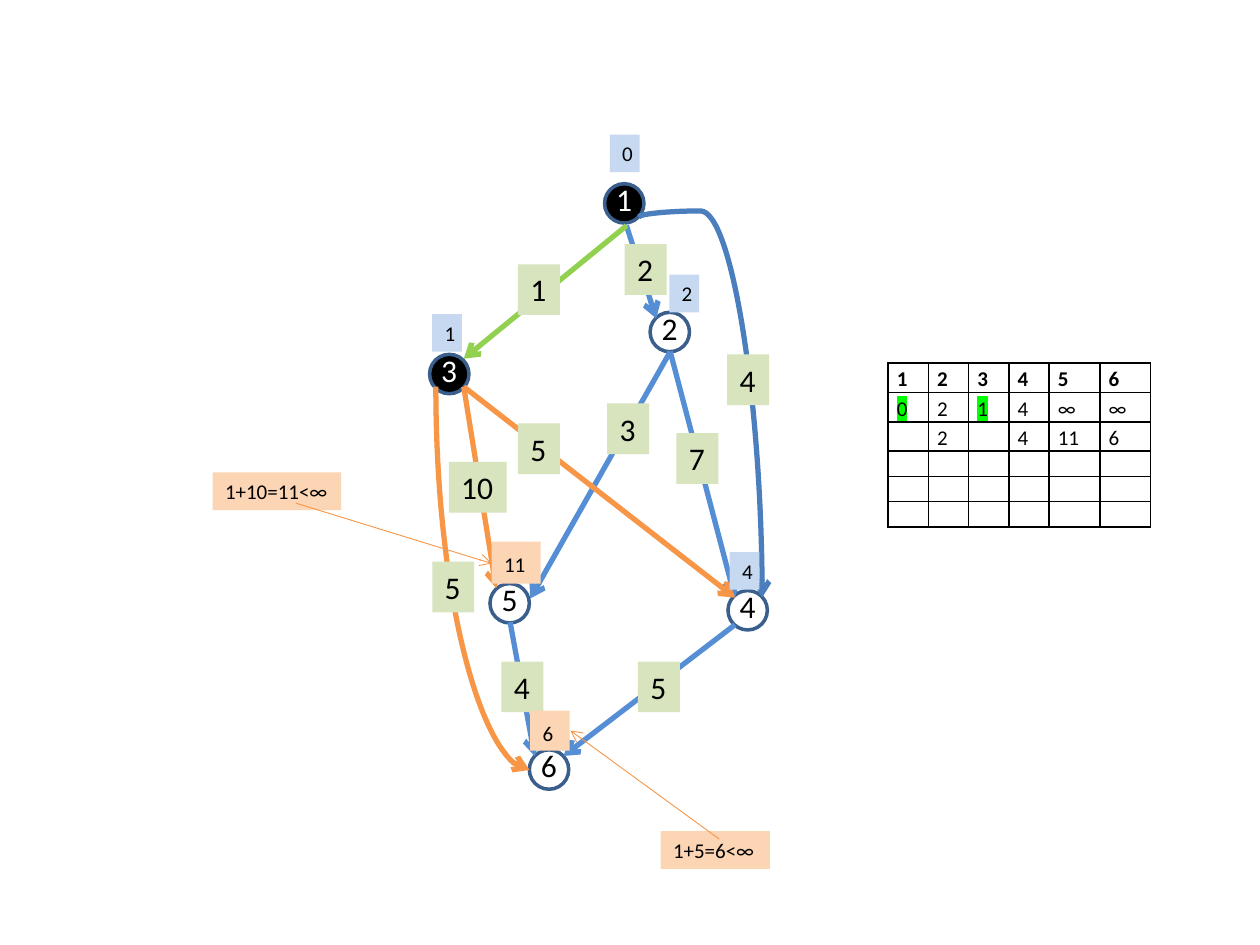
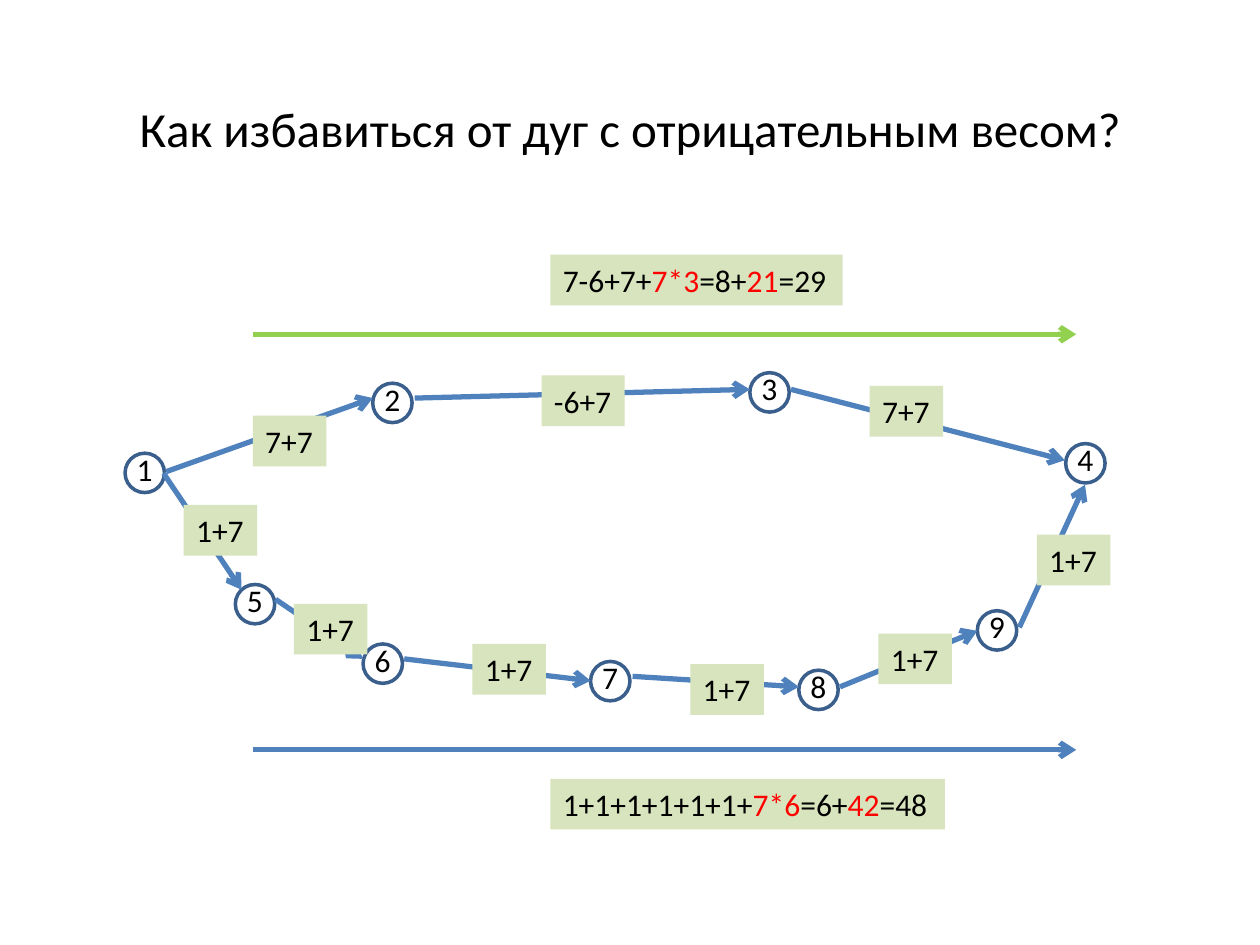
from lxml import etree
from pptx import Presentation
from pptx.dml.color import RGBColor
from pptx.enum.shapes import MSO_CONNECTOR, MSO_SHAPE
from pptx.enum.text import MSO_ANCHOR, MSO_AUTO_SIZE, PP_ALIGN
from pptx.oxml.ns import qn
from pptx.util import Pt

STRAIGHT, CURVE = MSO_CONNECTOR.STRAIGHT, MSO_CONNECTOR.CURVE
OVAL = MSO_SHAPE.OVAL
MIDDLE, CENTER = MSO_ANCHOR.MIDDLE, PP_ALIGN.CENTER
FIT_SHAPE, NO_FIT = MSO_AUTO_SIZE.SHAPE_TO_FIT_TEXT, MSO_AUTO_SIZE.NONE

BLACK = RGBColor(0x00, 0x00, 0x00)
WHITE = RGBColor(0xFF, 0xFF, 0xFF)
RED = RGBColor(0xFF, 0x00, 0x00)
NODE_LINE = RGBColor(0x3A, 0x5F, 0x8C)
BLUE = RGBColor(0x55, 0x8E, 0xD5)
CURVE_BLUE = RGBColor(0x4B, 0x7E, 0xBC)
STEEL = RGBColor(0x4F, 0x81, 0xBD)
ORANGE = RGBColor(0xF7, 0x96, 0x46)
GREEN = RGBColor(0x92, 0xD0, 0x50)
PALE_GREEN = RGBColor(0xD7, 0xE4, 0xBD)
PALE_BLUE = RGBColor(0xC6, 0xD9, 0xF1)
PALE_ORANGE = RGBColor(0xFC, 0xD5, 0xB5)
HIGHLIGHT = "00FF00"

FONT = "Calibri"
NODE = 22.5
LABEL_H = 29


def sub(parent, tag, **attrs):
    return etree.SubElement(parent, qn(tag), attrs)


class GraphDeck:
    """Holds the presentation, its style and the current slide."""

    def __init__(self):
        self.prs = Presentation()
        self.prs.slide_width, self.prs.slide_height = Pt(720), Pt(540)
        self.s = None

    def new_slide(self, layout):
        self.s = self.prs.slides.add_slide(self.prs.slide_layouts[layout])

    def run(self, p, text, size, color=BLACK, bold=False):
        r = p.add_run()
        r.text = text
        r.font.size, r.font.bold = Pt(size), bold
        r.font.color.rgb = color
        r.font.name = FONT
        return r

    def title(self, text):
        sp = self.s.shapes.title
        sp.left, sp.top, sp.width, sp.height = Pt(54), Pt(15), Pt(612), Pt(116)
        tf = sp.text_frame
        tf.auto_size, tf.vertical_anchor = NO_FIT, MIDDLE
        p = tf.paragraphs[0]
        p.alignment = CENTER
        self.run(p, text, 28)

    def box(self, runs, x, y, w, h=LABEL_H, fill=None, size=18, wrap=False):
        """Text box; runs is a list of (text, colour)."""
        sp = self.s.shapes.add_textbox(Pt(x), Pt(y), Pt(w), Pt(h))
        if fill is not None:
            sp.fill.solid()
            sp.fill.fore_color.rgb = fill
        tf = sp.text_frame
        tf.word_wrap, tf.auto_size = wrap, FIT_SHAPE
        p = tf.paragraphs[0]
        for text, color in runs:
            self.run(p, text, size, color)
        return p

    def weight(self, text, x, y, w=24):
        self.box([(text, BLACK)], x, y, w, fill=PALE_GREEN)

    def tag(self, text, x, y, w=17, h=21.5, fill=PALE_BLUE):
        return self.box([(text, BLACK)], x, y, w, h, fill, 12, True)

    def node(self, text, x, y, fill=WHITE):
        sp = self.s.shapes.add_shape(OVAL, Pt(x), Pt(y), Pt(NODE), Pt(NODE))
        sp.shadow.inherit = False
        sp.fill.solid()
        sp.fill.fore_color.rgb = fill
        sp.line.color.rgb, sp.line.width = NODE_LINE, Pt(2)
        color = WHITE if fill == BLACK else BLACK
        self.box([(text, color)], x - 0.5, y - 5.5, 24)

    def arrow(self, x1, y1, x2, y2, color, width=3, kind=STRAIGHT):
        cxn = self.s.shapes.add_connector(kind, Pt(x1), Pt(y1), Pt(x2), Pt(y2))
        cxn.line.color.rgb, cxn.line.width = color, Pt(width)
        spPr = cxn._element.spPr
        sub(spPr.find(qn("a:ln")), "a:tailEnd", type="arrow")
        sub(spPr, "a:effectLst")
        return spPr

    def curve(self, x1, y1, x2, y2, color, preset, adj=None):
        """Curve that leaves and arrives turned by a quarter."""
        cx, cy = (x1 + x2) / 2, (y1 + y2) / 2
        half_w, half_h = (y2 - y1) / 2, (x2 - x1) / 2
        spPr = self.arrow(cx - half_w, cy - half_h, cx + half_w, cy + half_h,
                          color, kind=CURVE)
        xfrm = spPr.find(qn("a:xfrm"))
        xfrm.set("rot", "16200000")
        xfrm.set("flipH", "1")
        geom = spPr.find(qn("a:prstGeom"))
        geom.set("prst", preset)
        if adj is not None:
            sub(geom.find(qn("a:avLst")), "a:gd", name="adj1", fmla=f"val {adj}")

    def borders(self, cell):
        tcPr = cell._tc.get_or_add_tcPr()
        for i, side in enumerate(("a:lnL", "a:lnR", "a:lnT", "a:lnB")):
            ln = sub(tcPr, side, w=str(Pt(1)))
            sub(sub(ln, "a:solidFill"), "a:srgbClr", val=str(BLACK))
            tcPr.insert(i, ln)

    def table(self, rows, x, y, widths, heights, marked):
        frame = self.s.shapes.add_table(len(rows), len(widths), Pt(x), Pt(y),
                                        Pt(sum(widths)), Pt(sum(heights)))
        tbl = frame.table
        tbl.first_row = tbl.horz_banding = False
        for column, w in zip(tbl.columns, widths):
            column.width = Pt(w)
        for i, (row, h) in enumerate(zip(rows, heights)):
            tbl.rows[i].height = Pt(h)
            for j, text in enumerate(row):
                cell = tbl.cell(i, j)
                cell.fill.background()
                cell.margin_left = cell.margin_right = Pt(5)
                cell.margin_top = cell.margin_bottom = 0
                self.borders(cell)
                p = cell.text_frame.paragraphs[0]
                if not text:
                    sub(p._p, "a:endParaRPr", sz="1200")
                    continue
                p.line_spacing, p.space_after = 1.15, Pt(10)
                r = self.run(p, text, 12, bold=i == 0)
                if (i, j) in marked:
                    rPr = r._r.rPr
                    mark = sub(rPr, "a:highlight")
                    sub(mark, "a:srgbClr", val=HIGHLIGHT)
                    rPr.find(qn("a:solidFill")).addnext(mark)


def shortest_paths(deck):
    deck.new_slide(6)

    # Nodes
    for text, x, y, fill in [
            ("1", 345.5, 105, BLACK), ("2", 371.5, 178.5, WHITE),
            ("3", 245.5, 202.5, BLACK), ("4", 416, 337.5, WHITE),
            ("5", 280, 333.5, WHITE), ("6", 302.5, 428.5, WHITE)]:
        deck.node(text, x, y, fill)

    # Arcs
    for *ends, color in [
            (420, 357, 322, 432, BLUE), (383, 201, 420, 341.5, BLUE),
            (383, 201, 303, 342, BLUE), (358, 129, 375, 182, BLUE),
            (265, 221, 283.5, 336, ORANGE), (358, 129, 265, 205, GREEN),
            (291.5, 355.5, 305.5, 432, BLUE), (265, 221, 420, 341.5, ORANGE)]:
        deck.arrow(*ends, color)
    deck.curve(365, 124, 435.5, 341.5, CURVE_BLUE, "curvedConnector3", -1600)
    deck.curve(249, 221, 302.5, 440, ORANGE, "curvedConnector2")

    # Arc weights
    for text, x, y in [
            ("2", 357, 139.5), ("7", 386.5, 247.5), ("1", 296, 151),
            ("4", 415.5, 202.5), ("5", 247, 321), ("5", 296, 242),
            ("3", 347, 230.5), ("5", 364.5, 378), ("4", 286.5, 378)]:
        deck.weight(text, x, y)
    deck.weight("10", 256.5, 264, 33)

    # Distance table
    deck.table([["1", "2", "3", "4", "5", "6"],
                ["0", "2", "1", "4", "∞", "∞"],
                ["", "2", "", "4", "11", "6"]] + [[""] * 6] * 3,
               507.5, 207.5, [23] * 4 + [29] * 2, [16.8] * 3 + [14.4] * 3,
               {(1, 0), (1, 2)})

    # Known distances
    for text, x, y in [("1", 247, 179.5), ("2", 382.5, 157),
                       ("4", 417, 315.5), ("0", 348.5, 77)]:
        deck.tag(text, x, y)

    # Improved distances and how they arise
    for text, *place in [("11", 281, 309.5, 28, 24), ("6", 303, 406, 22.5, 23)]:
        p = deck.tag(text, *place, fill=PALE_ORANGE)
        p.line_spacing, p.space_after = 1.15, Pt(10)
    for text, place, ends in [
            ("1+10=11<∞", (121.5, 270, 73.5), (169, 287.5, 281, 322)),
            ("1+5=6<∞", (377.5, 475, 62.5), (411, 479.5, 326, 417.5))]:
        deck.tag(text, *place, fill=PALE_ORANGE)
        deck.arrow(*ends, ORANGE, 0.5)


def negative_weights(deck):
    deck.new_slide(5)
    deck.title("Как избавиться от дуг с отрицательным весом?")

    # Nodes
    places = [(71.5, 259), (213, 219), (428.5, 213), (609, 253.5), (134.5, 334),
              (207.5, 368), (337.5, 378), (456.5, 383), (558.5, 349)]
    for number, (x, y) in enumerate(places, 1):
        deck.node(str(number), x, y)

    # Arcs: upper path, then lower path
    for ends in [
            (95, 269.5, 213, 227.5), (237, 227.5, 428.5, 222.5),
            (452, 222.5, 608.5, 263),
            (93.5, 270.5, 138, 337), (157.5, 342.5, 207.5, 376.5),
            (231, 376.5, 337.5, 389), (361.5, 386.5, 456.5, 392.5),
            (480, 392.5, 558.5, 360.5), (582.5, 358.5, 620, 277)]:
        deck.arrow(*ends, STEEL)

    # Arc weights
    deck.weight("-6+7", 309.5, 214.5, 47.5)
    for x, y in [(497, 220.5), (144.5, 237.5)]:
        deck.weight("7+7", x, y, 42)
    for x, y in [(394.5, 379.5), (502, 362), (592.5, 305.5),
                 (270, 368), (168, 345), (105, 288.5)]:
        deck.weight("1+7", x, y, 42)

    # Path totals
    for parts, y, w, arrow_y, color in [
            (["7-6+7+", "7*3", "=8+", "21", "=29"], 145.5, 167, 191, GREEN),
            (["1+1+1+1+1+1+", "7*6", "=6+", "42", "=48"],
             445, 225.5, 428.5, STEEL)]:
        deck.arrow(144.5, arrow_y, 615, arrow_y, color)
        runs = [(t, RED if i % 2 else BLACK) for i, t in enumerate(parts)]
        deck.box(runs, 314.5, y, w, fill=PALE_GREEN)


def main():
    deck = GraphDeck()
    shortest_paths(deck)
    negative_weights(deck)
    deck.prs.save("out.pptx")


if __name__ == "__main__":
    main()
